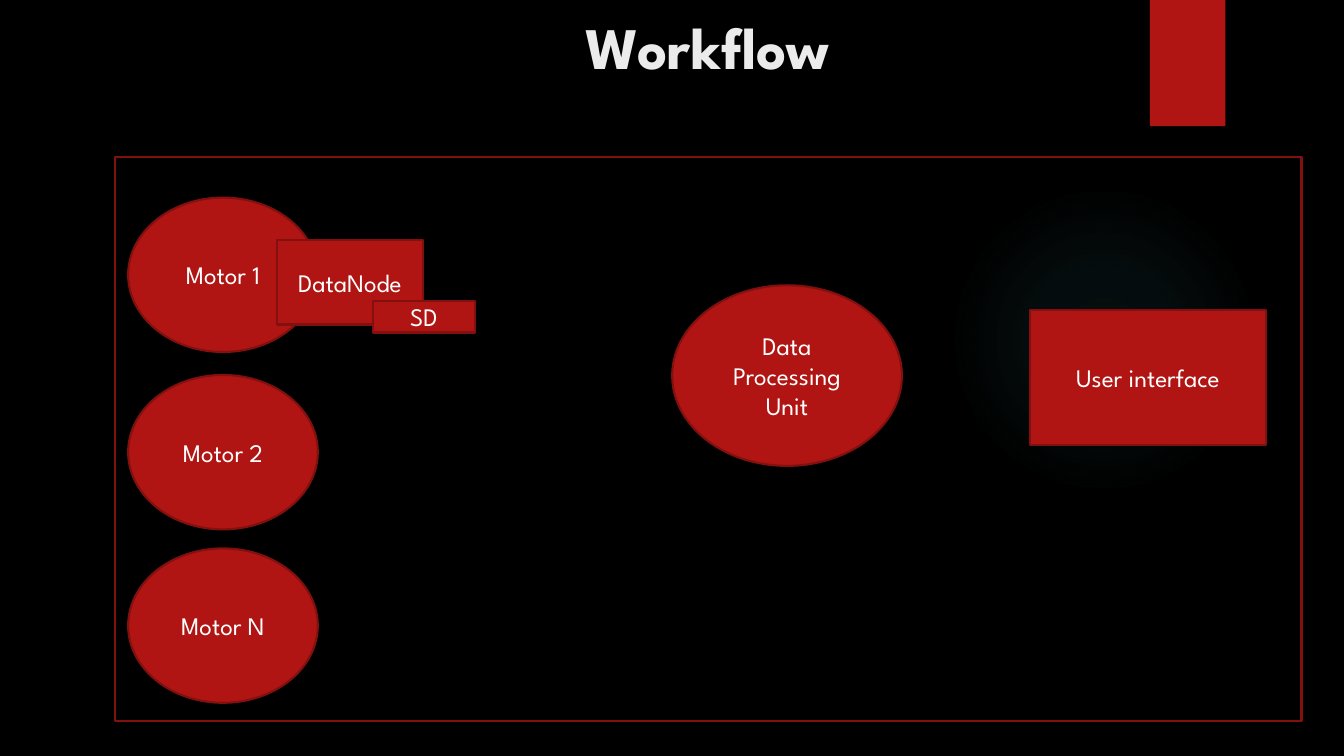
from lxml import etree
from pptx import Presentation
from pptx.dml.color import RGBColor
from pptx.enum.shapes import MSO_SHAPE as Shape
from pptx.enum.text import MSO_ANCHOR as Anchor, MSO_AUTO_SIZE as AutoSize, PP_ALIGN as Align
from pptx.oxml.ns import qn
from pptx.util import Cm, Pt

COLOURS = {"background": "000000", "red": "B01513", "outline": "82100E",
           "title": "EBEBEB", "label": "FFFFFF", "glow": "50B9C1"}
FONT = "League Spartan"
TITLE_ONLY = 5


def colour(name):
    return RGBColor.from_string(COLOURS[name])


def write_text(text_frame, text, size=18, color="label", bold=False, anchor=Anchor.MIDDLE):
    text_frame.word_wrap = True
    text_frame.auto_size = AutoSize.NONE
    text_frame.vertical_anchor = anchor
    paragraph = text_frame.paragraphs[0]
    paragraph.alignment = Align.CENTER
    run = paragraph.add_run()
    run.text = text
    run.font.name = FONT
    run.font.size = Pt(size)
    run.font.bold = bold
    run.font.color.rgb = colour(color)


class WorkflowSlide:
    """Holds the current slide and draws its elements, with lengths in centimetres."""

    def __init__(self, presentation):
        self.slide = presentation.slides.add_slide(presentation.slide_layouts[TITLE_ONLY])
        background = self.slide.background.fill
        background.solid()
        background.fore_color.rgb = colour("background")

    def title(self, text, left, top, width, height):
        title = self.slide.shapes.title
        title.left, title.top = Cm(left), Cm(top)
        title.width, title.height = Cm(width), Cm(height)
        write_text(title.text_frame, text, size=42, color="title", bold=True, anchor=Anchor.TOP)

    def shape(self, kind, left, top, width, height, text="", fill="red", line="outline"):
        shape = self.slide.shapes.add_shape(kind, Cm(left), Cm(top), Cm(width), Cm(height))
        shape.shadow.inherit = False
        if fill:
            shape.fill.solid()
            shape.fill.fore_color.rgb = colour(fill)
        else:
            shape.fill.background()
        if line:
            shape.line.color.rgb = colour(line)
            shape.line.width = Pt(1.5)
        else:
            shape.line.fill.background()
        if text:
            write_text(shape.text_frame, text)
        return shape

    def glow(self, left, top, diameter, stops):
        """Draw a radial gradient; stops are pairs of position and opacity in percent."""
        circle = self.shape(Shape.OVAL, left, top, diameter, diameter, fill=None, line=None)
        gradient = etree.Element(qn("a:gradFill"), rotWithShape="1")
        stop_list = etree.SubElement(gradient, qn("a:gsLst"))
        for position, opacity in stops:
            stop = etree.SubElement(stop_list, qn("a:gs"), pos=str(position * 1000))
            tint = etree.SubElement(stop, qn("a:srgbClr"), val=COLOURS["glow"])
            etree.SubElement(tint, qn("a:alpha"), val=str(opacity * 1000))
        radial = etree.SubElement(gradient, qn("a:path"))
        radial.set("path", "circle")
        etree.SubElement(radial, qn("a:fillToRect"), l="50000", t="50000", r="50000", b="50000")
        properties = circle.element.spPr
        properties.replace(properties.find(qn("a:noFill")), gradient)


def main():
    presentation = Presentation()
    presentation.slide_width, presentation.slide_height = Cm(33.87), Cm(19.05)
    workflow = WorkflowSlide(presentation)

    workflow.glow(23.9, 4.65, 7.82, [(0, 7), (36, 6), (69, 0)])
    workflow.shape(Shape.RECTANGLE, 28.98, 0, 1.9, 3.18, line=None)
    workflow.title("Workflow", 3.23, 0.13, 29.21, 3.81)

    for name, top in (("Motor 1", 4.98), ("Motor 2", 9.45), ("Motor N", 13.82)):
        workflow.shape(Shape.OVAL, 3.23, top, 4.78, 3.89, name)
    workflow.shape(Shape.RECTANGLE, 6.98, 6.05, 3.68, 2.13, "DataNode")
    workflow.shape(Shape.OVAL, 16.94, 7.19, 5.79, 4.55, "Data Processing Unit")
    workflow.shape(Shape.RECTANGLE, 25.96, 7.82, 5.94, 3.4, "User interface")
    workflow.shape(Shape.RECTANGLE, 2.9, 3.96, 29.9, 14.2, fill=None)
    workflow.shape(Shape.RECTANGLE, 9.4, 7.59, 2.57, 0.79, "SD")

    presentation.save("out.pptx")


if __name__ == "__main__":
    main()
